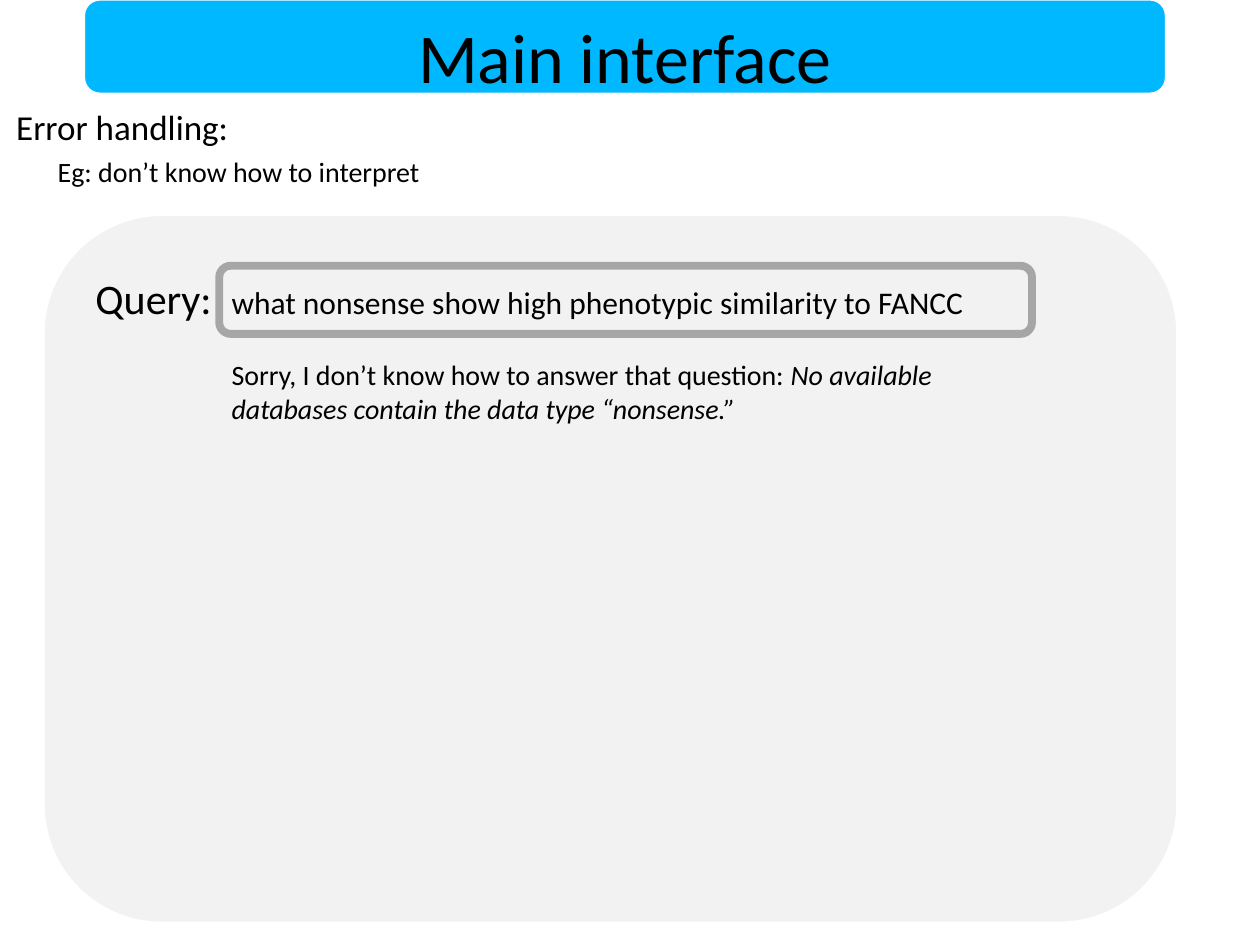
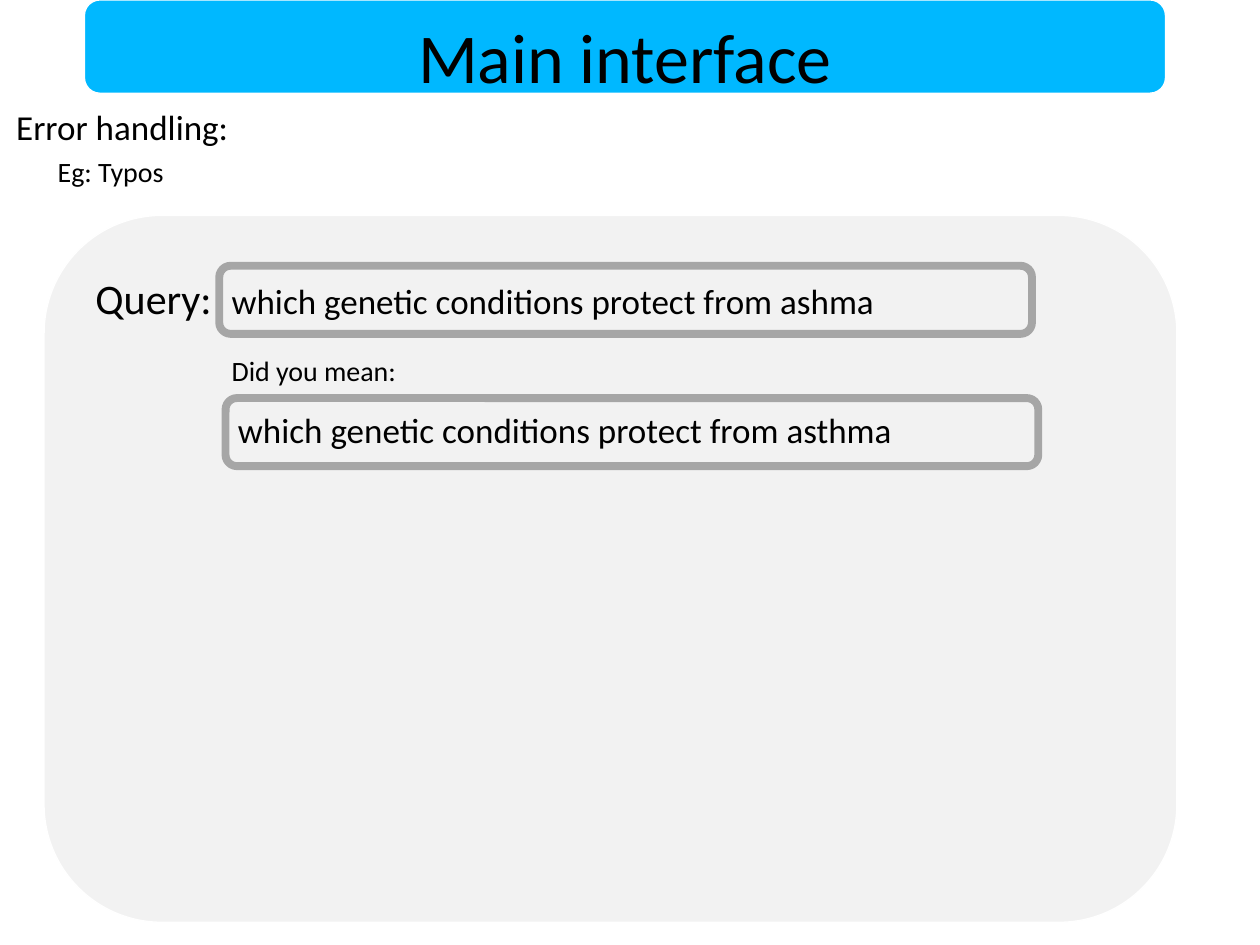
from lxml.etree import SubElement
from pptx import Presentation
from pptx.dml.color import RGBColor
from pptx.enum.shapes import MSO_SHAPE as Shape
from pptx.enum.text import MSO_ANCHOR as Anchor, PP_ALIGN as Align
from pptx.oxml.ns import qn
from pptx.util import Inches, Pt

FONT = "Calibri"
BLACK, WHITE = "000000", "FFFFFF"
BAND_BLUE, PANEL_GREY, FIELD_GREY = "00B8FF", "F2F2F2", "A6A6A6"

# Boxes: left, top, width, height in inches
BAND = (0.67, 0, 8.58, 0.74)
HEADING = (0.03, 0.79, 4.48, 0.44)
EXAMPLE = (0.36, 1.18, 5.52, 0.37)
PANEL = (0.35, 1.71, 8.99, 5.61)
FIELD_SIZE = (6.45, 0.54)
FIELD_OFFSET = (1.39, 0.4)  # query field, from the panel's corner


def color(hex_string):
    return RGBColor.from_string(hex_string)


def add_round_box(slide, box, fill=None, line=WHITE, weight=0.75):
    shape = slide.shapes.add_shape(Shape.ROUNDED_RECTANGLE, *map(Inches, box))
    shape.shadow.inherit = False
    if fill:
        shape.fill.solid()
        shape.fill.fore_color.rgb = color(fill)
    else:
        shape.fill.background()
    shape.line.color.rgb = color(line)
    shape.line.width = Pt(weight)
    return shape


def write(frame, *runs, size=16, align=Align.LEFT, anchor=Anchor.TOP, tab=None):
    """Fill a text frame; each run is a text or (text, format changes)."""
    frame.word_wrap = True
    frame.vertical_anchor = anchor
    paragraph = frame.paragraphs[0]
    paragraph.alignment = align
    if tab:
        tabs = SubElement(paragraph._p.get_or_add_pPr(), qn("a:tabLst"))
        SubElement(tabs, qn("a:tab"), pos=str(Inches(tab)), algn="l")
    for item in runs:
        text, changes = (item, {}) if isinstance(item, str) else item
        run = paragraph.add_run()
        run.text = text
        run.font.name = FONT
        run.font.size = Pt(changes.get("size", size))
        run.font.italic = changes.get("italic")
        run.font.color.rgb = color(BLACK)


def add_text(slide, box, *runs, **text_format):
    label = slide.shapes.add_textbox(*map(Inches, box))
    write(label.text_frame, *runs, **text_format)


def add_header(slide, example):
    # Title band
    band = add_round_box(slide, BAND, fill=BAND_BLUE)
    frame = band.text_frame
    frame.margin_top, frame.margin_bottom = Inches(0.07), 0
    write(frame, "Main interface", size=40, align=Align.CENTER)
    # Topic and example
    add_text(slide, HEADING, "Error handling:", size=20)
    add_text(slide, EXAMPLE, example)


def add_field(slide, left, top):
    add_round_box(slide, (left, top, *FIELD_SIZE), line=FIELD_GREY, weight=4.5)


def add_query_panel(slide, panel, query, query_size):
    """Draw the panel with its query; return the field's left and top."""
    add_round_box(slide, panel, fill=PANEL_GREY)
    left, top = panel[0] + FIELD_OFFSET[0], panel[1] + FIELD_OFFSET[1]
    add_field(slide, left, top)
    label_width = 1.08
    add_text(slide, (left - label_width, top, label_width + FIELD_SIZE[0], 0.5),
             "Query:\t", (query, {"size": query_size}), size=24, tab=label_width)
    return left, top


def add_unknown_slide(deck):
    slide = deck.slides.add_slide(deck.slide_layouts[6])
    add_header(slide, "Eg: don’t know how to interpret")
    left, top = add_query_panel(
        slide, PANEL, "what nonsense show high phenotypic similarity to FANCC", 18)
    # Apology with its reason
    add_text(slide, (left, top + 0.68, FIELD_SIZE[0], 0.64),
             "Sorry, I don’t know how to answer that question: ",
             ("No available databases contain the data type “nonsense.”",
              {"italic": True}))


def add_typo_slide(deck):
    slide = deck.slides.add_slide(deck.slide_layouts[6])
    add_header(slide, "Eg: Typos")
    left, top = add_query_panel(
        slide, PANEL, "which genetic conditions protect from ashma", 20)
    # Suggested correction
    add_text(slide, (left, top + 0.65, FIELD_SIZE[0], 0.37), "Did you mean:")
    left, top = left + 0.05, top + 1.05
    add_field(slide, left, top)
    add_text(slide, (left, top + 0.03, 7.53, 0.44),
             "which genetic conditions protect from asthma", size=20)


def main():
    deck = Presentation()
    deck.slide_width, deck.slide_height = Inches(10), Inches(7.5)
    add_unknown_slide(deck)
    add_typo_slide(deck)
    deck.save("out.pptx")


if __name__ == "__main__":
    main()
